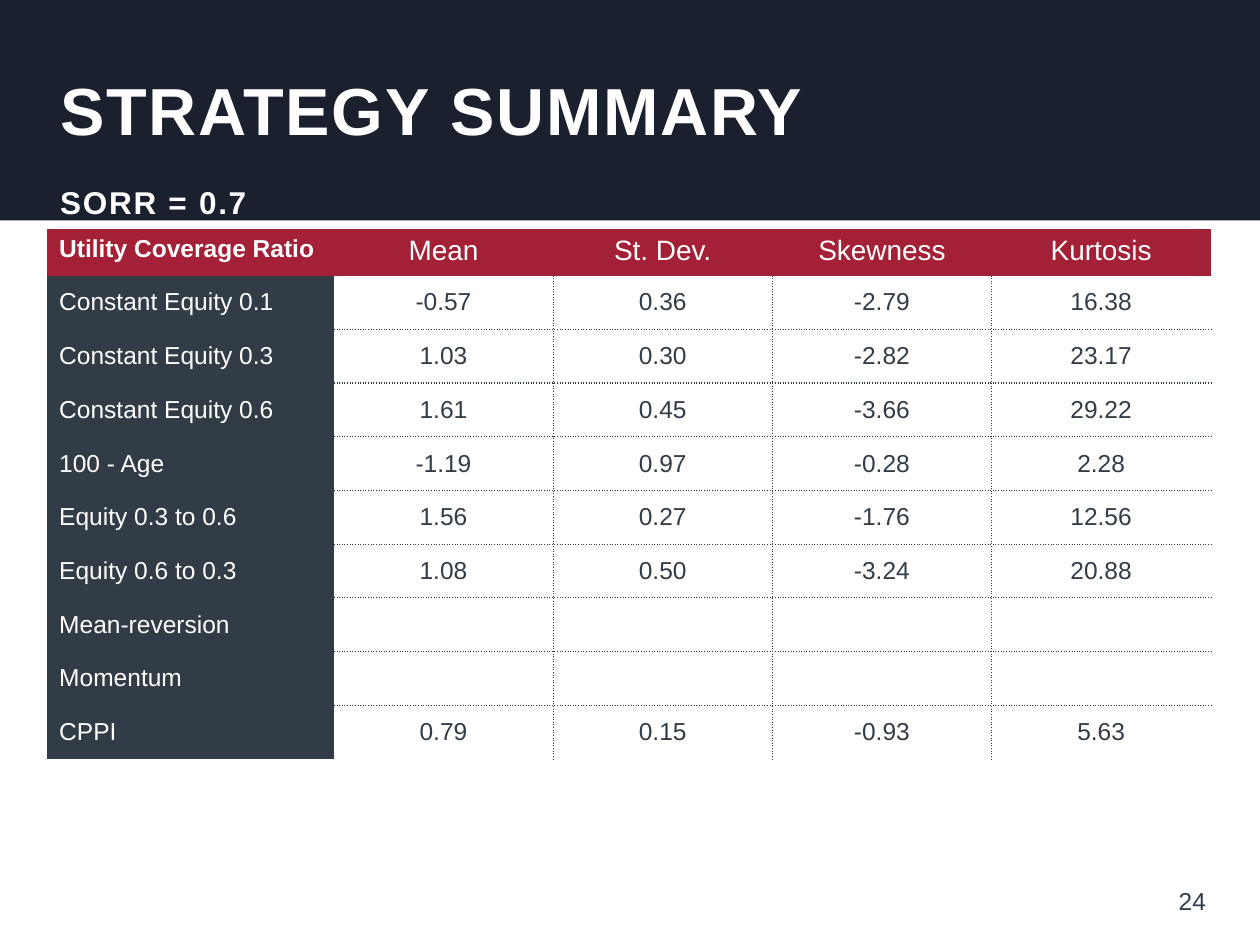
import dataclasses

import pptx
import pptx.dml.color
import pptx.enum.shapes
import pptx.enum.text
import pptx.oxml
import pptx.oxml.ns
import pptx.util

Align = pptx.enum.text.PP_ALIGN
Anchor = pptx.enum.text.MSO_ANCHOR
COLS, ROWS = 100, 75
PLAIN = "{2D5ABB26-0587-4C30-8999-92F81FD0307C}"


@dataclasses.dataclass(frozen=True)
class Theme:
    font: str = "Arial"
    navy: str = "1B202F"
    red: str = "A42036"
    slate: str = "323C47"
    ink: str = "333E48"
    white: str = "FFFFFF"
    title: int = 38
    sub: int = 18
    head: int = 16
    body: int = 14


class Deck:
    def __init__(self, theme):
        self.theme = theme
        self.file = pptx.Presentation()
        self.file.slide_width = pptx.util.Inches(10)
        self.file.slide_height = pptx.util.Inches(7.5)
        self.slide = self.file.slides.add_slide(self.file.slide_layouts[6])

    def place(self, left, top, width, height):
        """Turn grid columns and rows into slide lengths."""
        col = self.file.slide_width / COLS
        row = self.file.slide_height / ROWS
        return [round(n * unit) for n, unit in
                zip((left, top, width, height), (col, row, col, row))]

    def paint(self, fill, color):
        fill.solid()
        fill.fore_color.rgb = pptx.dml.color.RGBColor.from_string(color)

    def band(self, box, color):
        shape = self.slide.shapes.add_shape(
            pptx.enum.shapes.MSO_SHAPE.RECTANGLE, *self.place(*box))
        shape.shadow.inherit = False
        self.paint(shape.fill, color)
        shape.line.fill.background()

    def set_text(self, para, text, size, color, align=Align.LEFT, bold=False):
        para.text = text
        para.alignment = align
        font = para.font
        font.name, font.size, font.bold = self.theme.font, pptx.util.Pt(size), bold
        self.paint(font.fill, color)

    def label(self, box, text, size, color, space=0, **style):
        """Add a text box; space is the letter spacing in points."""
        frame = self.slide.shapes.add_textbox(*self.place(*box)).text_frame
        frame.word_wrap = True
        frame.vertical_anchor = Anchor.MIDDLE
        para = frame.paragraphs[0]
        self.set_text(para, text, size, color, **style)
        if space:
            para.runs[0].font._element.set("spc", str(space * 100))

    def rule(self, cell, sides):
        """Draw dotted borders; sides come in the order L, R, T, B."""
        props = cell._tc.get_or_add_tcPr()
        for spot, side in enumerate(sides):
            props.insert(spot, pptx.oxml.parse_xml(
                f'<a:ln{side} {pptx.oxml.ns.nsdecls("a")} w="9525"><a:solidFill>'
                f'<a:srgbClr val="{self.theme.slate}"/></a:solidFill>'
                f'<a:prstDash val="sysDot"/></a:ln{side}>'))

    def table(self, box, first, top, heads, data):
        """Add a table with a first column and a top row of their own size."""
        theme = self.theme
        rows, cols = len(data) + 1, len(heads)
        left, up, width, height = self.place(*box)
        first, top = self.place(0, 0, first, top)[2:]
        table = self.slide.shapes.add_table(
            rows, cols, left, up, width, height).table
        table._tbl.tblPr.find(pptx.oxml.ns.qn("a:tableStyleId")).text = PLAIN
        for c, col in enumerate(table.columns):
            col.width = first if c == 0 else (width - first) // (cols - 1)
        for r, row in enumerate(table.rows):
            row.height = top if r == 0 else (height - top) // (rows - 1)

        for r, line in enumerate([heads, *data]):
            for c, text in enumerate(line):
                cell = table.cell(r, c)
                cell.vertical_anchor = Anchor.MIDDLE if r else Anchor.TOP
                inner = r > 0 and c > 0
                self.set_text(cell.text_frame.paragraphs[0], text,
                              theme.head if r == 0 and c else theme.body,
                              theme.slate if inner else theme.white,
                              Align.CENTER if c else Align.LEFT, r == c == 0)
                if inner:
                    cell.fill.background()
                    edges = {"L": c > 1, "R": c < cols - 1,
                             "T": r > 1, "B": r < rows - 1}
                    self.rule(cell, [side for side, on in edges.items() if on])
                else:
                    self.paint(cell.fill, theme.slate if r else theme.red)


HEADS = ["Utility Coverage Ratio", "Mean", "St. Dev.", "Skewness", "Kurtosis"]
DATA = [
    ["Constant Equity 0.1", "-0.57", "0.36", "-2.79", "16.38"],
    ["Constant Equity 0.3", "1.03", "0.30", "-2.82", "23.17"],
    ["Constant Equity 0.6", "1.61", "0.45", "-3.66", "29.22"],
    ["100 - Age", "-1.19", "0.97", "-0.28", "2.28"],
    ["Equity 0.3 to 0.6", "1.56", "0.27", "-1.76", "12.56"],
    ["Equity 0.6 to 0.3", "1.08", "0.50", "-3.24", "20.88"],
    ["Mean-reversion", "", "", "", ""],
    ["Momentum", "", "", "", ""],
    ["CPPI", "0.79", "0.15", "-0.93", "5.63"],
]


def main():
    theme = Theme()
    deck = Deck(theme)
    deck.band((0, 0, COLS, 17.5), theme.navy)
    deck.label((3.8, 0, 92.3, 17.3), "STRATEGY SUMMARY", theme.title,
               theme.white, space=1, bold=True)
    deck.label((73.4, 69.5, 23.3, 4), "24", theme.body, theme.ink,
               align=Align.RIGHT)
    deck.table((3.7, 18.2, 92.4, 41.9), 22.8, 3.5, HEADS, DATA)
    deck.label((3.8, 14.6, 92.3, 2.9), "SORR = 0.7", theme.sub,
               theme.white, space=1, bold=True)
    deck.file.save("out.pptx")


if __name__ == "__main__":
    main()
